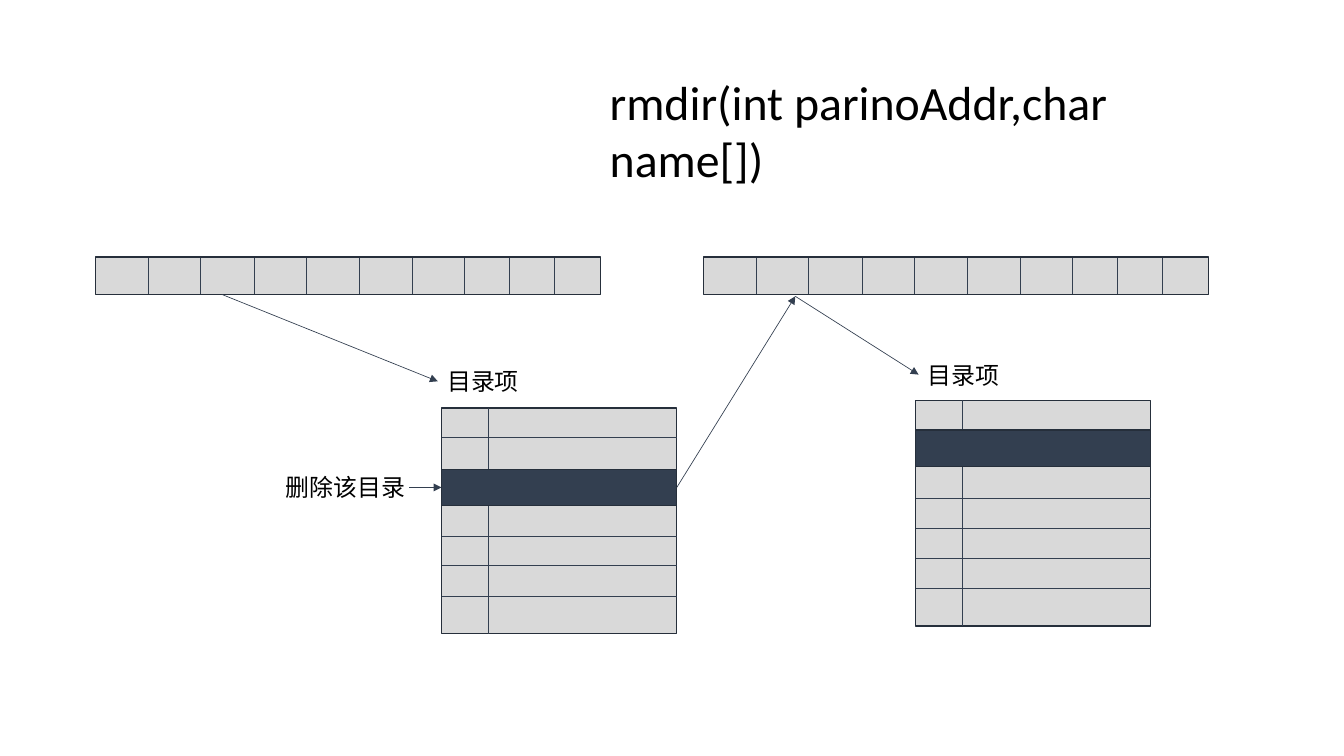
from dataclasses import dataclass

from pptx import Presentation
from pptx import util as u
from pptx.dml.color import RGBColor
from pptx.enum import shapes, text
from pptx.oxml.ns import qn
from lxml import etree

PX = 9144  # EMU in one px, 100 px to the inch


@dataclass(frozen=True)
class Theme:
    font: str = "Calibri"
    ink: str = "000000"
    cell: str = "D9D9D9"
    dark: str = "333F50"
    border: str = "262F3B"
    title_size: int = 36
    label_size: int = 18
    border_width: float = 1
    line_width: float = 0.5


class Board:
    def __init__(self, slide, theme):
        self.slide = slide
        self.theme = theme

    def label(self, x, y, w, h, words, size):
        box = self.slide.shapes.add_textbox(x * PX, y * PX, w * PX, h * PX)
        frame = box.text_frame
        frame.word_wrap = True
        frame.auto_size = text.MSO_AUTO_SIZE.SHAPE_TO_FIT_TEXT
        run = frame.paragraphs[0].add_run()
        run.text = words
        run.font.name = self.theme.font
        run.font.size = u.Pt(size)
        run.font.color.rgb = RGBColor.from_string(self.theme.ink)

    def block(self, x, y, w, h, fill):
        rect = self.slide.shapes.add_shape(
            shapes.MSO_SHAPE.RECTANGLE, x * PX, y * PX, w * PX, h * PX)
        rect.shadow.inherit = False
        rect.fill.solid()
        rect.fill.fore_color.rgb = RGBColor.from_string(fill)
        rect.line.color.rgb = RGBColor.from_string(self.theme.border)
        rect.line.width = u.Pt(self.theme.border_width)

    def line(self, x1, y1, x2, y2, arrow=False):
        link = self.slide.shapes.add_connector(
            shapes.MSO_CONNECTOR.STRAIGHT, x1 * PX, y1 * PX, x2 * PX, y2 * PX)
        link.line.color.rgb = RGBColor.from_string(self.theme.dark)
        link.line.width = u.Pt(self.theme.line_width)
        if arrow:
            etree.SubElement(link.line._get_or_add_ln(), qn("a:tailEnd"), type="triangle")
        etree.SubElement(link._element.spPr, qn("a:effectLst"))

    def inode(self, x, y):
        """Strip of seven wide cells followed by three narrow ones."""
        w, h = 528, 39
        self.block(x, y, w, h, self.theme.cell)
        wide = [round(55.2 * i) for i in range(1, 8)]
        narrow = [wide[-1] + 47 * i for i in (1, 2)]
        for offset in wide + narrow:
            self.line(x + offset, y + 1, x + offset, y + h)

    def directory(self, x, y, marked_offset):
        """Table of seven entries with one marked row."""
        w, h, number_width = 246, 236, 49
        self.block(x, y, w, h, self.theme.cell)
        for offset in (31, 64, 102, 134, 165, 197):
            self.line(x, y + offset, x + w, y + offset)
        self.line(x + number_width, y, x + number_width, y + h)
        self.block(x, y + marked_offset, w, 38, self.theme.dark)


def main():
    deck = Presentation()
    deck.slide_width, deck.slide_height = 1406 * PX, 791 * PX
    theme = Theme()
    board = Board(deck.slides.add_slide(deck.slide_layouts[6]), theme)

    board.label(628, 71, 712, 131, "rmdir(int parinoAddr,char name[])", theme.title_size)

    for inode_x in (100, 736):
        board.inode(inode_x, 269)
    board.directory(462, 427, marked_offset=64)
    board.directory(958, 419, marked_offset=31)

    for x, y, w, words in ((458, 379, 107, "目录项"),
                           (961, 372, 107, "目录项"),
                           (289, 490, 150, "删除该目录")):
        board.label(x, y, w, 40, words, theme.label_size)

    for ends in ((232, 308, 458, 399),
                 (708, 510, 832, 310),
                 (832, 310, 961, 392),
                 (428, 510, 462, 510)):
        board.line(*ends, arrow=True)

    deck.save("out.pptx")


if __name__ == "__main__":
    main()
